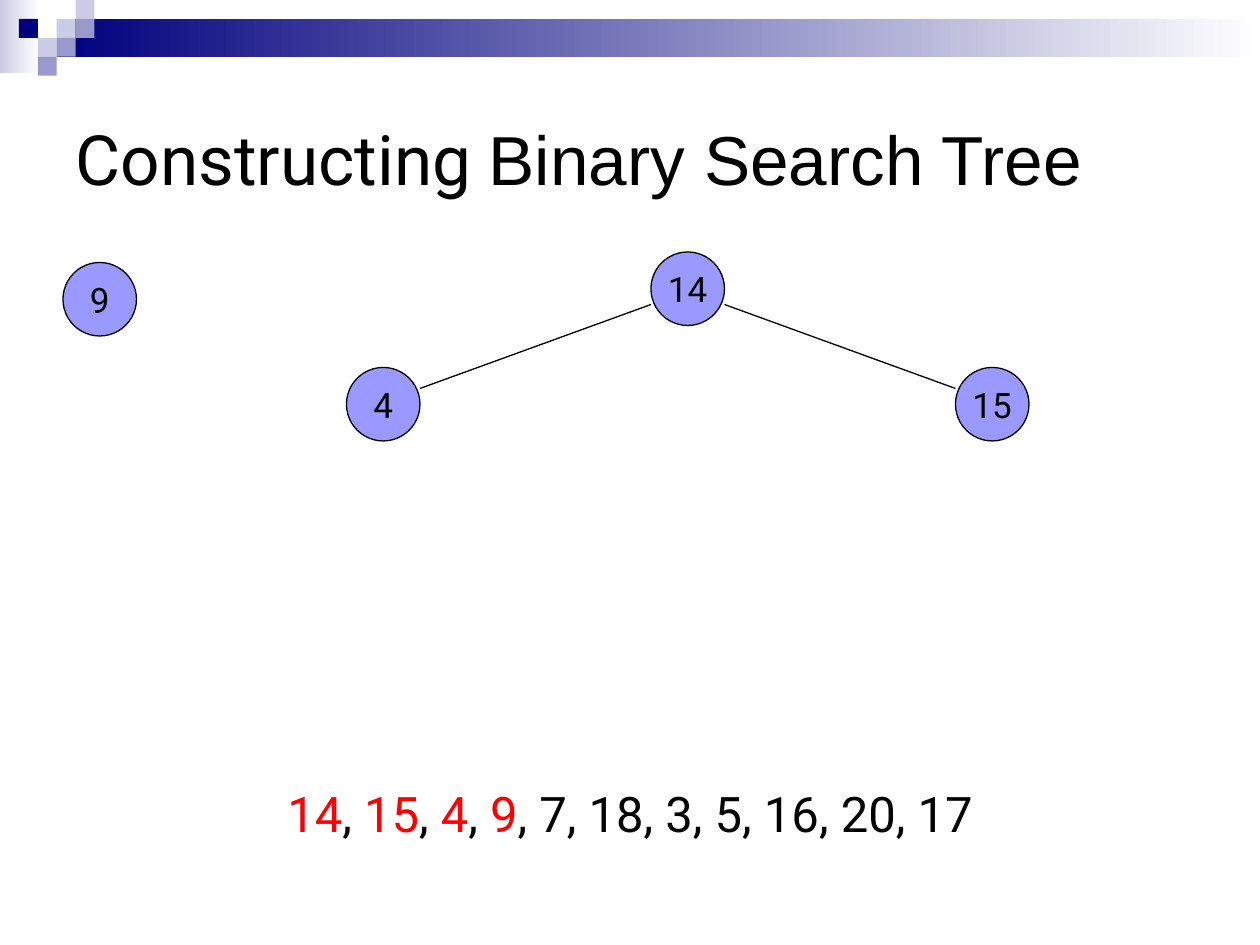
"""Build the slide on constructing a binary search tree."""
from pptx import Presentation
from pptx.dml.color import RGBColor
from pptx.enum.shapes import MSO_CONNECTOR, MSO_SHAPE
from pptx.enum.text import MSO_ANCHOR, MSO_AUTO_SIZE, PP_ALIGN
from pptx.oxml.ns import qn
from pptx.util import Pt

TITLE = [("Constructing ", "Roboto"), ("Binary Search Tree", "Arial")]
INSERTED = ["14", "15", "4", "9"]
REMAINING = ["7", "18", "3", "5", "16", "20", "17"]
NODES = {"14": (372, 144), "15": (546, 210), "4": (198, 210), "9": (36, 150)}
EDGES = [("14", "15"), ("14", "4")]
BARS = [(0, 0, 22.5, 42, "CCCCE6"), (32.5, 10.8, 687.5, 21.6, "00007D")]
SQUARES = [(3, 1, "CCCCE6"), (4, 0, "CCCCE6"), (4, 1, "9999CC"),
           (2, 2, "CCCCE6"), (1, 1, "00007D"), (3, 2, "9999CC"),
           (2, 3, "9999CC")]
NODE = 42
CELL = 10.8


def color(value):
    return RGBColor.from_string(value)


def add_text(p, text, size=20, font="Roboto", fill="000000"):
    r = p.add_run()
    r.text = text
    r.font.size = Pt(size)
    r.font.name = font
    r.font.color.rgb = color(fill)


def set_frame(tf, anchor, align, margins=(7.2, 3.6)):
    tf.word_wrap = True
    tf.auto_size = MSO_AUTO_SIZE.NONE
    tf.vertical_anchor = anchor
    tf.margin_left = tf.margin_right = Pt(margins[0])
    tf.margin_top = tf.margin_bottom = Pt(margins[1])
    p = tf.paragraphs[0]
    p.alignment = align
    return p


def add_shape(s, kind, left, top, width, height, fill, end=None, line=None):
    sp = s.shapes.add_shape(kind, Pt(left), Pt(top), Pt(width), Pt(height))
    sp.shadow.inherit = False
    if end:
        sp.fill.gradient()
        sp.fill.gradient_angle = 0
        for stop, value in zip(sp.fill.gradient_stops, (fill, end)):
            stop.color.rgb = color(value)
    else:
        sp.fill.solid()
        sp.fill.fore_color.rgb = color(fill)
    if line:
        sp.line.color.rgb = color(line)
        sp.line.width = Pt(0.75)
    else:
        sp.line.fill.background()
    return sp


def add_header(s):
    for *box, fill in BARS:
        add_shape(s, MSO_SHAPE.RECTANGLE, *box, fill, end="FFFFFF")
    for col, row, fill in SQUARES:
        add_shape(s, MSO_SHAPE.RECTANGLE, col * CELL, row * CELL,
                  CELL, CELL, fill)


def add_title(s):
    sp = s.shapes.title
    sp.left, sp.top, sp.width, sp.height = Pt(36), Pt(36), Pt(648), Pt(108)
    p = set_frame(sp.text_frame, MSO_ANCHOR.MIDDLE, PP_ALIGN.LEFT)
    for text, font in TITLE:
        add_text(p, text, size=39.6, font=font)


def add_sequence(s):
    sp = s.shapes.add_textbox(Pt(36), Pt(444), Pt(648), Pt(54))
    p = set_frame(sp.text_frame, MSO_ANCHOR.TOP, PP_ALIGN.CENTER)
    for value in INSERTED:
        add_text(p, value, size=28, fill="FF0000")
        add_text(p, ", ", size=28)
    add_text(p, ", ".join(REMAINING), size=28)


def add_edge(s, parent, child):
    (px, py), (cx, cy) = NODES[parent], NODES[child]
    x1, x2 = (px + NODE, cx) if cx > px else (px, cx + NODE)
    c = s.shapes.add_connector(MSO_CONNECTOR.STRAIGHT, Pt(x1), Pt(py + 30),
                               Pt(x2), Pt(cy + 12))
    c.line.color.rgb = color("000000")
    c.line.width = Pt(0.75)
    spPr = c._element.spPr
    spPr.append(spPr.makeelement(qn("a:effectLst"), {}))


def add_tree(s):
    for value, (left, top) in NODES.items():
        sp = add_shape(s, MSO_SHAPE.OVAL, left, top, NODE, NODE, "9999FF",
                       line="000000")
        p = set_frame(sp.text_frame, MSO_ANCHOR.MIDDLE, PP_ALIGN.CENTER, (0, 0))
        add_text(p, value)
    for parent, child in EDGES:
        add_edge(s, parent, child)


def main():
    prs = Presentation()
    prs.slide_width, prs.slide_height = Pt(720), Pt(540)
    s = prs.slides.add_slide(prs.slide_layouts[5])
    s.background.fill.solid()
    s.background.fill.fore_color.rgb = color("FFFFFF")
    add_header(s)
    add_title(s)
    add_sequence(s)
    add_tree(s)
    prs.save("out.pptx")


if __name__ == "__main__":
    main()
